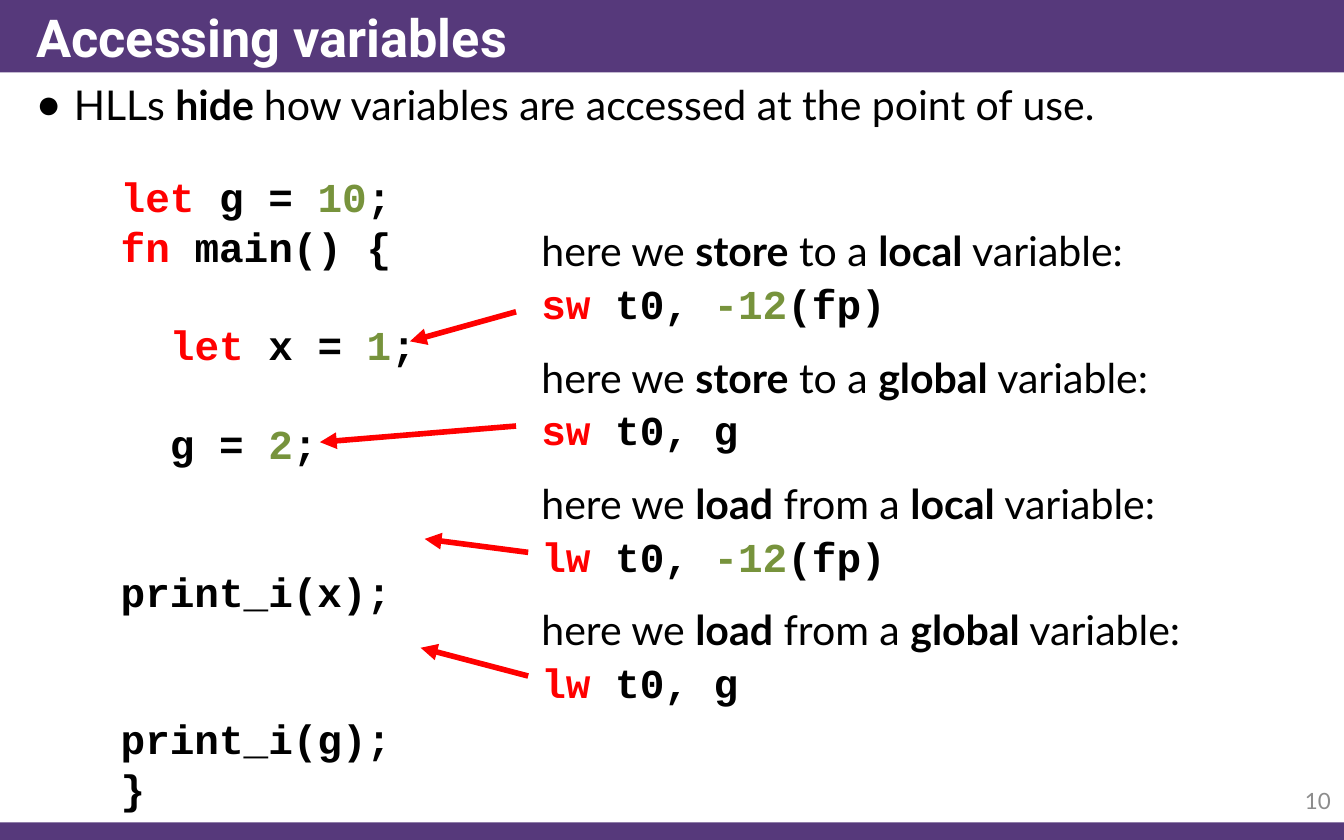
"""Builds the slide on how local and global variables are accessed."""
import pptx
import pptx.dml.color
import pptx.enum.shapes
import pptx.enum.text
import pptx.oxml
import pptx.oxml.ns
import pptx.util
from pptx.util import Inches

PURPLE, WHITE, BLACK, GREY = "56397B", "FFFFFF", "000000", "8C8C8C"
RED, GREEN = "FF0000", "77933C"
LATO, MONO, ROBOTO = "Lato", "Courier New", "Roboto"


def colour(value):
    return pptx.dml.color.RGBColor.from_string(value)


def element(tag, attributes=""):
    namespace = pptx.oxml.ns.nsdecls("a")
    return pptx.oxml.parse_xml(f"<a:{tag} {namespace} {attributes}/>")


class SlideBuilder:
    STYLES = {
        "title": (ROBOTO, 28, WHITE, True),
        "plain": (LATO, 22, BLACK, False),
        "strong": (LATO, 22, BLACK, True),
        "number": (LATO, 12, GREY, False),
        "code": (MONO, 22, BLACK, True),
        "keyword": (MONO, 22, RED, True),
        "literal": (MONO, 22, GREEN, True),
    }

    def __init__(self, deck):
        self.page = deck.slides.add_slide(deck.slide_layouts[1])

    def add_spans(self, para, spans):
        for text, style in spans:
            span = para.add_run()
            span.text = text
            font = span.font
            font.name, size, fill, font.bold = self.STYLES[style]
            font.size = pptx.util.Pt(size)
            font.color.rgb = colour(fill)

    def band(self, top, height):
        bar = self.page.shapes.add_shape(
            pptx.enum.shapes.MSO_SHAPE.RECTANGLE,
            0, Inches(top), Inches(10), Inches(height))
        bar.shadow.inherit = False
        bar.fill.solid()
        bar.fill.fore_color.rgb = colour(PURPLE)
        bar.line.fill.background()
        self.page.shapes.title.element.addprevious(bar.element)

    def placeholder(self, index, top, height, spans, anchor, bullet=None):
        box = self.page.placeholders[index]
        box.left, box.top = Inches(0.17), Inches(top)
        box.width, box.height = Inches(9.83), Inches(height)
        box.text_frame.auto_size = pptx.enum.text.MSO_AUTO_SIZE.NONE
        box.text_frame.vertical_anchor = anchor
        para = box.text_frame.paragraphs[0]
        para.alignment = pptx.enum.text.PP_ALIGN.LEFT
        para.space_before = pptx.util.Pt(0)
        if bullet:
            properties = para._p.get_or_add_pPr()
            properties.set("marL", str(Inches(0.28)))
            properties.set("indent", str(-Inches(0.28)))
            properties.append(element("buChar", f'char="{bullet}"'))
        self.add_spans(para, spans)

    def text(self, left, top, width, height, rows):
        box = self.page.shapes.add_textbox(
            Inches(left), Inches(top), Inches(width), Inches(height))
        frame = box.text_frame
        frame.word_wrap = True
        for number, (spans, before, spacing) in enumerate(rows):
            para = frame.add_paragraph() if number else frame.paragraphs[0]
            para.space_before = pptx.util.Pt(before)
            if spacing:
                para.line_spacing = pptx.util.Pt(spacing)
            self.add_spans(para, spans)
        return frame

    def arrow(self, start, end):
        connector = self.page.shapes.add_connector(
            pptx.enum.shapes.MSO_CONNECTOR.STRAIGHT,
            *(Inches(value) for value in start + end))
        connector.line.color.rgb = colour(RED)
        connector.line.width = pptx.util.Pt(3)
        properties = connector.element.spPr
        outline = properties.find(pptx.oxml.ns.qn("a:ln"))
        outline.append(element("tailEnd", 'type="triangle"'))
        properties.append(element("effectLst"))


def main():
    deck = pptx.Presentation()
    deck.slide_width, deck.slide_height = Inches(10), Inches(6.25)
    slide = SlideBuilder(deck)
    anchors = pptx.enum.text.MSO_ANCHOR

    slide.band(6.12, 0.13)
    slide.band(0, 0.54)
    slide.placeholder(0, 0, 0.54, [("Accessing variables", "title")],
                      anchors.MIDDLE)
    slide.placeholder(1, 0.54, 0.56, [
        ("HLLs ", "plain"), ("hide ", "strong"),
        ("how variables are accessed at the point of use.", "plain"),
    ], anchors.TOP, "●")

    number = slide.text(9.25, 5.79, 0.75, 0.33, [([("10", "number")], 0, None)])
    number.vertical_anchor = anchors.MIDDLE
    number.paragraphs[0].alignment = pptx.enum.text.PP_ALIGN.RIGHT

    pitch = 26.4
    program = [
        ([("let ", "keyword"), ("g = ", "code"), ("10", "literal"),
          (";", "code")], 0),
        ([("fn", "keyword"), (" main() {", "code")], 0),
        ([("  ", "code"), ("let", "keyword"), (" x = ", "code"),
          ("1", "literal"), (";", "code")], pitch),
        ([("  g = ", "code"), ("2", "literal"), (";", "code")], pitch),
        ([("  print_i(x);", "code")], pitch),
        ([("  print_i(g);", "code")], pitch),
        ([("}", "code")], 0),
    ]
    slide.text(0.8, 1.23, 2.41, 4.17,
               [(spans, before, pitch) for spans, before in program])

    local_operand = [(" t0, ", "code"), ("-12", "literal"), ("(fp)", "code")]
    global_operand = [(" t0, g", "code")]
    accesses = [
        ("store", " to a ", "local", "sw", local_operand,
         (3.84, 2.32), (3.05, 2.54)),
        ("store", " to a ", "global", "sw", global_operand,
         (3.84, 3.17), (2.38, 3.29)),
        ("load", " from a ", "local", "lw", local_operand,
         (3.93, 4.11), (3.16, 4.01)),
        ("load", " from a ", "global", "lw", global_operand,
         (3.93, 5.03), (3.13, 4.82)),
    ]
    for row, (verb, link, scope, opcode, operand, start, end) in enumerate(accesses):
        sentence = [("here we ", "plain"), (verb, "strong"), (link, "plain"),
                    (scope, "strong"), (" variable:", "plain")]
        instruction = [(opcode, "keyword")] + operand
        slide.text(3.93, 1.63 + row * 0.94, 5.15, 0.84,
                   [(sentence, 0, None), (instruction, 0, 28.3)])
        slide.arrow(start, end)

    deck.save("out.pptx")


if __name__ == "__main__":
    main()
